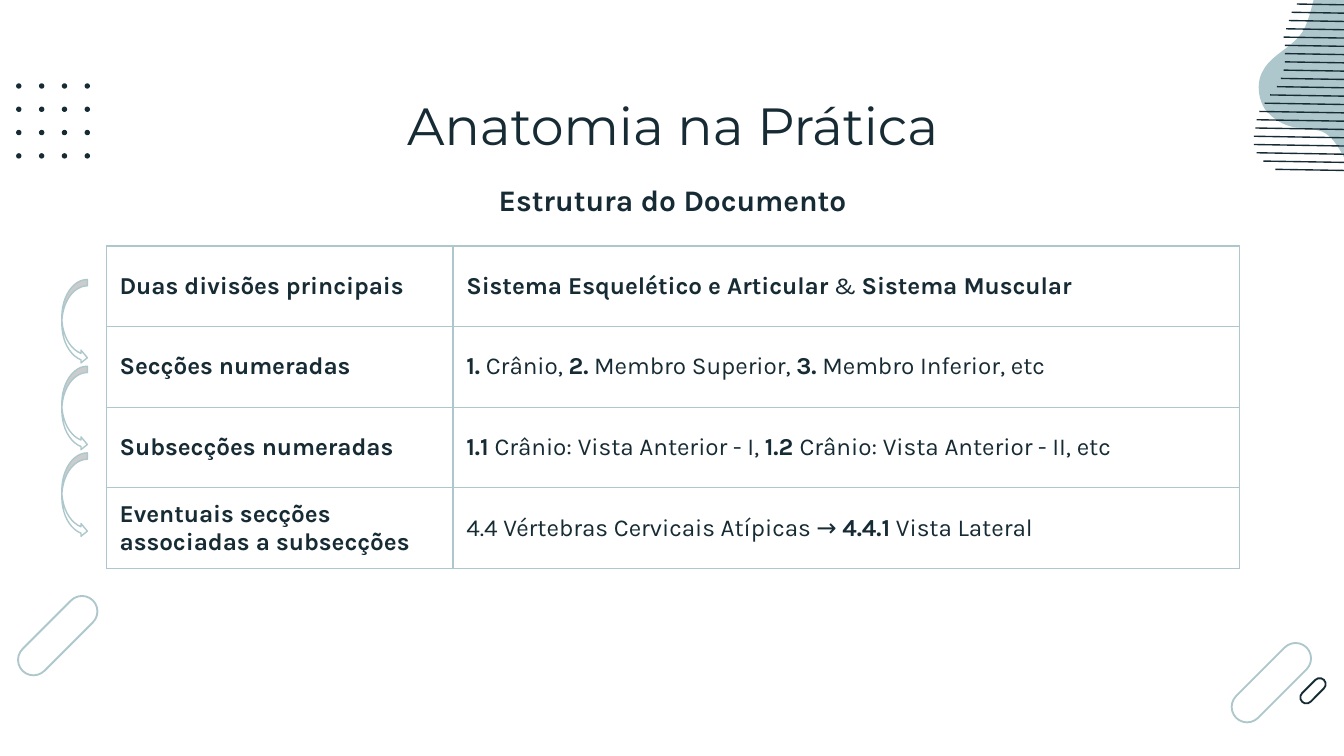
from typing import NamedTuple

from lxml import etree
from pptx import Presentation
from pptx.dml.color import RGBColor
from pptx.enum.shapes import MSO_CONNECTOR, MSO_SHAPE
from pptx.enum.text import MSO_ANCHOR, MSO_AUTO_SIZE, PP_ALIGN
from pptx.oxml.ns import qn
from pptx.util import Inches, Pt

CENTER, LEFT = PP_ALIGN.CENTER, PP_ALIGN.LEFT
TOP, MIDDLE = MSO_ANCHOR.TOP, MSO_ANCHOR.MIDDLE
OVAL, PILL = MSO_SHAPE.OVAL, MSO_SHAPE.ROUNDED_RECTANGLE
CURVED_ARROW = MSO_SHAPE.CURVED_RIGHT_ARROW
STRAIGHT, NO_AUTOFIT = MSO_CONNECTOR.STRAIGHT, MSO_AUTO_SIZE.NONE

COLORS = {"dark": "172B35", "accent": "ADC7CC", "white": "FFFFFF"}
SLIDE_W = 10
MARGIN, CONTENT_W = 0.79, 8.43


class Capsule(NamedTuple):
    cx: float
    cy: float
    length: float
    thickness: float
    color: str


class Stripe(NamedTuple):
    x1: float
    x2: float


CAPSULES = [
    Capsule(9.46, 5.08, 0.74, 0.23, "accent"),
    Capsule(9.77, 5.14, 0.23, 0.09, "dark"),
    Capsule(0.43, 4.73, 0.74, 0.23, "accent"),
]

STRIPES = [Stripe(*ends) for ends in (
    (9.65, 10), (9.61, 10.05), (9.59, 10.08), (9.57, 10.09), (9.55, 10.09),
    (9.56, 10.09), (9.56, 10.08), (9.56, 10.08), (9.55, 10.09), (9.53, 10.11),
    (9.5, 10.15), (9.45, 10.23), (9.41, 10.33), (9.37, 10.42), (9.35, 10.49),
    (9.34, 10.53), (9.33, 10.57), (9.33, 10.59), (9.35, 10.61), (9.4, 10.61),
    (9.49, 10.61),
)]

# Closed Bézier outline: start point, then two controls and an end per curve
BLOB_START = (10.36, 0.67)
BLOB_CURVES = [
    ((10.43, 0.77), (10.52, 0.87), (10.56, 0.99)),
    ((10.6, 1.11), (10.58, 1.26), (10.48, 1.35)),
    ((10.39, 1.44), (10.23, 1.46), (10.13, 1.38)),
    ((10.07, 1.33), (10.03, 1.25), (10, 1.17)),
    ((9.96, 1.1), (9.92, 1.02), (9.84, 0.98)),
    ((9.78, 0.96), (9.72, 0.96), (9.65, 0.95)),
    ((9.56, 0.94), (9.47, 0.89), (9.41, 0.81)),
    ((9.36, 0.73), (9.35, 0.62), (9.39, 0.54)),
    ((9.45, 0.41), (9.61, 0.36), (9.69, 0.24)),
    ((9.77, 0.11), (9.76, -0.06), (9.85, -0.16)),
    ((9.92, -0.24), (10.05, -0.26), (10.14, -0.23)),
    ((10.24, -0.19), (10.31, -0.09), (10.33, 0.01)),
    ((10.34, 0.07), (10.34, 0.13), (10.32, 0.19)),
    ((10.3, 0.24), (10.26, 0.28), (10.25, 0.33)),
    ((10.22, 0.44), (10.3, 0.58), (10.36, 0.67)),
]

# Asterisks enclose the bold parts
ROWS = [
    ("*Duas divisões principais*",
     "*Sistema Esquelético e Articular* & *Sistema Muscular*"),
    ("*Secções numeradas*",
     "*1.* Crânio, *2.* Membro Superior, *3.* Membro Inferior, etc"),
    ("*Subsecções numeradas*",
     "*1.1* Crânio: Vista Anterior - I, *1.2 *Crânio: Vista Anterior - II, etc"),
    ("*Eventuais secções associadas a subsecções*",
     "4.4 Vértebras Cervicais Atípicas → *4.4.1* Vista Lateral"),
]


def rgb(name: str) -> RGBColor:
    return RGBColor.from_string(COLORS[name])


def write(tf, text: str, *, size: float, font: str = "Karla", align=LEFT,
          space_after: float = 0) -> None:
    """Fill a text frame; parts between asterisks become bold."""
    tf.word_wrap = True
    p = tf.paragraphs[0]
    p.alignment = align
    p.space_after = Pt(space_after)
    for i, part in enumerate(text.split("*")):
        if part:
            r = p.add_run()
            r.text = part
            r.font.name, r.font.size = font, Pt(size)
            r.font.bold = i % 2 == 1
            r.font.color.rgb = rgb("dark")


def set_frame(sp, y: float, h: float) -> None:
    """Place a full-width text shape with even insets."""
    sp.left, sp.top = Inches(MARGIN), Inches(y)
    sp.width, sp.height = Inches(CONTENT_W), Inches(h)
    tf = sp.text_frame
    tf.auto_size = NO_AUTOFIT
    tf.vertical_anchor = TOP
    tf.margin_left = tf.margin_right = Inches(0.1)
    tf.margin_top = tf.margin_bottom = Inches(0.1)


def paint(sp, fill: str = "", line: str = "", width: float = 0.75) -> None:
    sp.shadow.inherit = False
    if fill:
        sp.fill.solid()
        sp.fill.fore_color.rgb = rgb(fill)
    else:
        sp.fill.background()
    if line:
        sp.line.color.rgb = rgb(line)
        sp.line.width = Pt(width)
    else:
        sp.line.fill.background()


def add_shape(s, kind, x: float, y: float, w: float, h: float, **style):
    sp = s.shapes.add_shape(kind, Inches(x), Inches(y), Inches(w), Inches(h))
    paint(sp, **style)
    return sp


def add_capsule(s, c: Capsule) -> None:
    sp = add_shape(s, PILL, c.cx - c.length / 2, c.cy - c.thickness / 2,
                   c.length, c.thickness, line=c.color, width=1)
    sp.adjustments[0] = 0.5
    sp.rotation = -45


def add_blob(s, steps: int = 10) -> None:
    points, start = [], BLOB_START
    for c1, c2, end in BLOB_CURVES:
        for t in (k / steps for k in range(1, steps + 1)):
            u = 1 - t
            points.append(tuple(
                Inches(u**3 * a + 3 * u * u * t * b + 3 * u * t * t * c + t**3 * d)
                for a, b, c, d in zip(start, c1, c2, end)))
        start = end
    fb = s.shapes.build_freeform(*points[-1])
    fb.add_line_segments(points[:-1], close=True)
    paint(fb.convert_to_shape(), fill="accent")


def add_stripe(s, stripe: Stripe, y: float) -> None:
    drop = (stripe.x2 - stripe.x1) / 60
    line = s.shapes.add_connector(STRAIGHT, Inches(stripe.x1), Inches(y),
                                  Inches(stripe.x2), Inches(y + drop))
    line.line.color.rgb = rgb("dark")
    line.line.width = Pt(0.75)
    etree.SubElement(line._element.spPr, qn("a:effectLst"))


def format_cell(cell, text: str, space_after: float) -> None:
    tcPr = cell._tc.get_or_add_tcPr()
    for side in ("lnL", "lnR", "lnT", "lnB"):
        ln = etree.SubElement(tcPr, qn(f"a:{side}"), w=str(Pt(0.75)))
        fill = etree.SubElement(ln, qn("a:solidFill"))
        etree.SubElement(fill, qn("a:srgbClr"), val=COLORS["accent"])
    cell.fill.background()
    cell.vertical_anchor = MIDDLE
    cell.margin_left = cell.margin_right = Inches(0.1)
    cell.margin_top = cell.margin_bottom = 0
    write(cell.text_frame, text, size=13, space_after=space_after)


def add_structure_table(s) -> None:
    table = s.shapes.add_table(len(ROWS), 2, Inches(MARGIN), Inches(1.83),
                               Inches(CONTENT_W), Inches(0.6 * len(ROWS))).table
    table.first_row = table.horz_banding = False
    for column, width in zip(table.columns, (2.58, 5.85)):
        column.width = Inches(width)
    for i, (label, detail) in enumerate(ROWS):
        format_cell(table.cell(i, 0), label, 0)
        format_cell(table.cell(i, 1), detail, 16)


def main() -> None:
    prs = Presentation()
    prs.slide_width, prs.slide_height = Inches(SLIDE_W), Inches(SLIDE_W * 9 / 16)
    s = prs.slides.add_slide(prs.slide_layouts[5])

    # Corner decoration
    for capsule in CAPSULES:
        add_capsule(s, capsule)
    add_blob(s)
    for i, stripe in enumerate(STRIPES):
        add_stripe(s, stripe, 0.03 + i * 1.23 / 20)
    for i in range(16):
        add_shape(s, OVAL, 0.12 + i % 4 * 0.17, 0.62 + i // 4 * 0.52 / 3,
                  0.04, 0.04, fill="dark")

    # Title and subtitle
    title = s.shapes.title
    set_frame(title, 0.59, 0.63)
    write(title.text_frame, "Anatomia na Prática", size=28,
          font="Montserrat", align=CENTER)
    subtitle = s.shapes.add_textbox(0, 0, 0, 0)
    set_frame(subtitle, 1.25, 0.4)
    write(subtitle.text_frame, "*Estrutura do Documento*", size=16, align=CENTER)

    # Table and the arrows linking its rows
    add_structure_table(s)
    for i in range(len(ROWS) - 1):
        add_shape(s, CURVED_ARROW, 0.46, 2.08 + i * 1.29 / 2, 0.19, 0.63,
                  fill="white", line="accent")

    prs.save("out.pptx")


if __name__ == "__main__":
    main()
